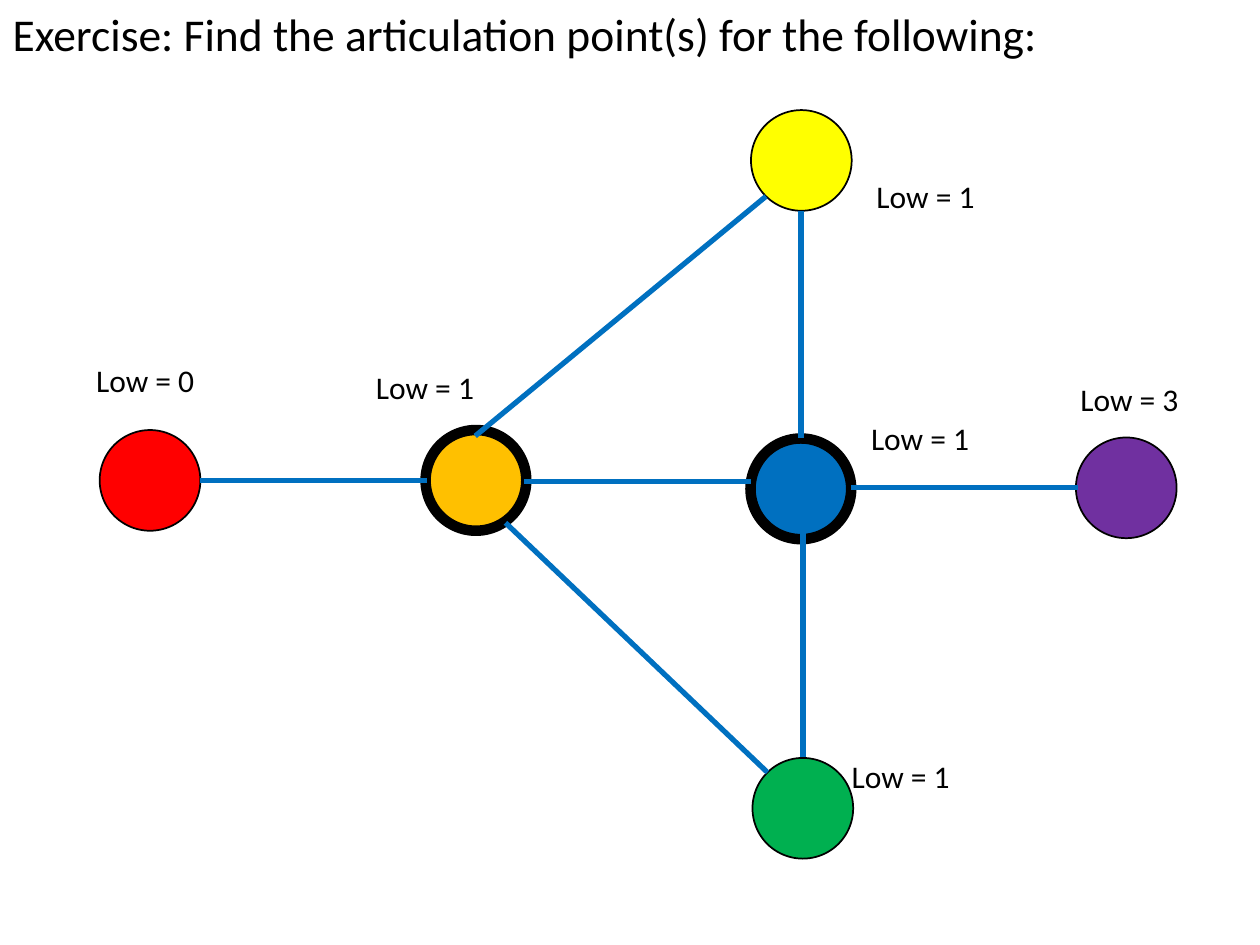
from pptx import Presentation
from pptx.dml.color import RGBColor
from pptx.enum.shapes import MSO_CONNECTOR as Connector, MSO_SHAPE as Shape
from pptx.enum.text import MSO_ANCHOR as Anchor, MSO_AUTO_SIZE as AutoSize, PP_ALIGN as Align
from pptx.oxml.ns import qn
from pptx.util import Cm, Pt
from lxml import etree

COLORS = {
    "text": "000000",
    "outline": "000000",
    "edge": "0070C0",
    "red": "FF0000",
    "orange": "FFC000",
    "green": "00B050",
    "purple": "7030A0",
    "yellow": "FFFF00",
    "blue": "0070C0",
}
DIAMETER = 2.03
SPAN = 4.57
NODES = [
    ("red", 2.01, 8.67, 1),
    ("orange", 8.58, 8.67, 6),
    ("green", 15.17, 15.28, 1),
    ("purple", 21.69, 8.82, 1),
    ("yellow", 15.14, 2.22, 1),
    ("blue", 15.13, 8.84, 6),
]
EDGES = [
    (4.04, 9.68, SPAN, 0),
    (10.57, 9.71, SPAN, 0),
    (16.15, 8.83, 0, -SPAN),
    (16.19, 15.27, 0, -SPAN),
    (17.16, 9.83, SPAN, 0),
    (9.58, 8.79, 5.86, -4.83),
    (10.19, 10.54, 5.28, 5.03),
]
LABELS = [
    (0, 1.69, 7.15),
    (1, 7.33, 7.29),
    (1, 17.42, 3.45),
    (1, 17.31, 8.33),
    (1, 16.92, 15.14),
    (3, 21.53, 7.54),
]


def color(name):
    return RGBColor.from_string(COLORS[name])


def write(box, text, size):
    frame = box.text_frame
    frame.word_wrap = True
    frame.auto_size = AutoSize.SHAPE_TO_FIT_TEXT
    frame.vertical_anchor = Anchor.TOP
    para = frame.paragraphs[0]
    para.alignment = Align.LEFT
    span = para.add_run()
    span.text = text
    span.font.size = Pt(size)
    span.font.name = "Calibri"
    span.font.color.rgb = color("text")


def add_title(page, text):
    title = page.shapes.title
    title.left, title.top, title.width, title.height = Cm(0), Cm(0), Cm(25.4), Cm(1.37)
    write(title, text, 26)


def add_node(page, name, left, top, outline):
    node = page.shapes.add_shape(Shape.OVAL, Cm(left), Cm(top), Cm(DIAMETER), Cm(DIAMETER))
    node.shadow.inherit = False
    node.fill.solid()
    node.fill.fore_color.rgb = color(name)
    node.line.color.rgb = color("outline")
    node.line.width = Pt(outline)


def add_edge(page, x, y, across, down):
    edge = page.shapes.add_connector(
        Connector.STRAIGHT, Cm(x), Cm(y), Cm(x + across), Cm(y + down))
    edge.line.color.rgb = color("edge")
    edge.line.width = Pt(3)
    etree.SubElement(edge.element.spPr, qn("a:effectLst"))


def add_label(page, low, left, top):
    box = page.shapes.add_textbox(Cm(left), Cm(top), Cm(3.05), Cm(1.02))
    write(box, f"Low = {low}", 18)


def main():
    deck = Presentation()
    deck.slide_width, deck.slide_height = Cm(25.4), Cm(19.05)
    page = deck.slides.add_slide(deck.slide_layouts.get_by_name("Title Only"))
    add_title(page, "Exercise: Find the articulation point(s) for the following:")
    for node in NODES:
        add_node(page, *node)
    for edge in EDGES:
        add_edge(page, *edge)
    for label in LABELS:
        add_label(page, *label)
    deck.save("out.pptx")


main()
